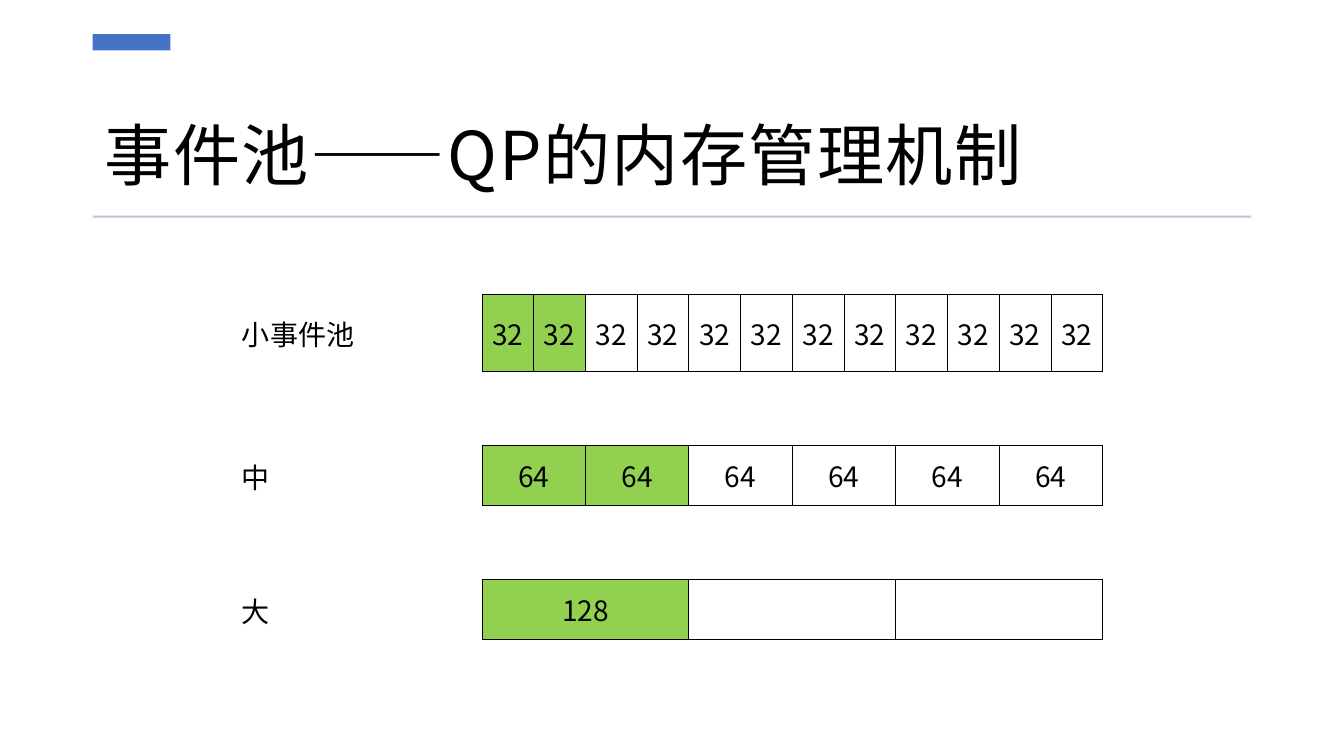
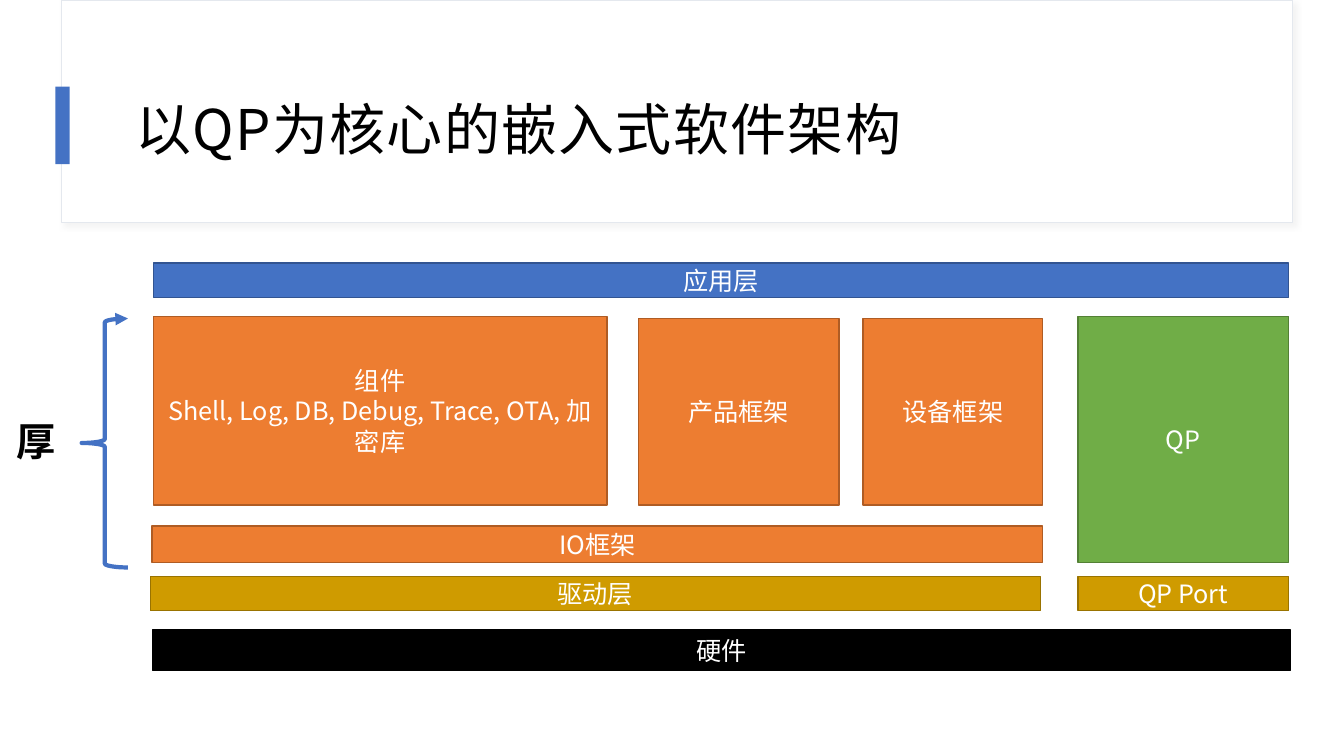
from dataclasses import dataclass
from typing import Any, Optional

from lxml import etree
from pptx import Presentation
from pptx.dml.color import RGBColor
from pptx.enum.shapes import MSO_SHAPE
from pptx.enum.text import MSO_ANCHOR, MSO_AUTO_SIZE, PP_ALIGN
from pptx.oxml.ns import qn
from pptx.util import Inches, Pt

RECTANGLE, LEFT_BRACE = MSO_SHAPE.RECTANGLE, MSO_SHAPE.LEFT_BRACE
TOP, MIDDLE, BOTTOM = MSO_ANCHOR.TOP, MSO_ANCHOR.MIDDLE, MSO_ANCHOR.BOTTOM
LEFT, CENTER = PP_ALIGN.LEFT, PP_ALIGN.CENTER
NO_AUTOFIT = MSO_AUTO_SIZE.NONE

WHITE = RGBColor(0xFF, 0xFF, 0xFF)
BLACK = RGBColor(0x00, 0x00, 0x00)
BLUE = RGBColor(0x44, 0x72, 0xC4)
BLUE_EDGE = RGBColor(0x32, 0x54, 0x91)
ORANGE = RGBColor(0xED, 0x7D, 0x31)
ORANGE_EDGE = RGBColor(0xAF, 0x5C, 0x24)
GREEN = RGBColor(0x70, 0xAD, 0x47)
GREEN_EDGE = RGBColor(0x53, 0x80, 0x35)
GOLD = RGBColor(0xCF, 0x9B, 0x00)
GOLD_EDGE = RGBColor(0x99, 0x73, 0x00)
USED_GREEN = RGBColor(0x92, 0xD0, 0x50)
RULE_GRAY = RGBColor(0xBC, 0xC6, 0xD5)
CARD_EDGE = RGBColor(0xE4, 0xE8, 0xEE)
SHADOW_GRAY = RGBColor(0xD9, 0xD9, 0xD9)

FONT = "Noto Sans CJK SC"
TITLE_ONLY = 5
PLAIN_TABLE = "{2D5ABB26-0587-4C30-8999-92F81FD0307C}"
BORDERS = ("a:lnL", "a:lnR", "a:lnT", "a:lnB")
TITLE_FRAME = {
    "margin_left": Inches(0.12),
    "margin_right": Inches(0.12),
    "margin_top": Inches(0.12),
    "margin_bottom": Inches(0.1),
    "word_wrap": True,
    "auto_size": NO_AUTOFIT,
}
SLIM_CELL = {
    "margin_left": Inches(0.01),
    "margin_right": Inches(0.01),
    "margin_top": Inches(0.01),
    "margin_bottom": 0,
    "vertical_anchor": MIDDLE,
}
WIDE_CELL = {
    "margin_left": Inches(0.18),
    "margin_right": Inches(0.18),
    "margin_top": Inches(0.09),
    "margin_bottom": Inches(0.09),
    "vertical_anchor": TOP,
}


@dataclass(frozen=True)
class Area:
    left: float
    top: float
    width: float
    height: float

    def lengths(self) -> tuple:
        return tuple(Inches(n) for n in (self.left, self.top, self.width, self.height))


@dataclass(frozen=True)
class Layer:
    text: str
    area: Area
    fill: RGBColor
    edge: RGBColor


@dataclass(frozen=True)
class Pool:
    row: int
    label: str
    blocks: tuple
    used: int
    cell_format: dict


POOLS = (
    Pool(0, "小事件池", ("32",) * 12, 2, SLIM_CELL),
    Pool(2, "中", ("64",) * 6, 2, WIDE_CELL),
    Pool(4, "大", ("128", "", ""), 1, WIDE_CELL),
)
POOL_AREA = Area(2.39, 2.92, 8.55, 3.42)
POOL_ROWS = (0.76, 0.74, 0.59, 0.74, 0.59)
LABEL_COLUMNS = (1.22, 1.17)
UNITS = 12

LAYERS = (
    Layer("QP", Area(10.69, 3.14, 2.09, 2.44), GREEN, GREEN_EDGE),
    Layer("应用层", Area(1.52, 2.61, 11.26, 0.34), BLUE, BLUE_EDGE),
    Layer("驱动层", Area(1.49, 5.72, 8.83, 0.34), GOLD, GOLD_EDGE),
    Layer("硬件", Area(1.51, 6.25, 11.29, 0.4), BLACK, BLACK),
    Layer("IO框架", Area(1.51, 5.22, 8.83, 0.36), ORANGE, ORANGE_EDGE),
    Layer("组件\nShell, Log, DB, Debug, Trace, OTA, 加密库",
          Area(1.52, 3.14, 4.5, 1.87), ORANGE, ORANGE_EDGE),
    Layer("设备框架", Area(8.56, 3.16, 1.78, 1.85), ORANGE, ORANGE_EDGE),
    Layer("产品框架", Area(6.33, 3.16, 1.99, 1.85), ORANGE, ORANGE_EDGE),
    Layer("QP Port", Area(10.69, 5.72, 2.09, 0.34), GOLD, GOLD_EDGE),
)


def apply(target: Any, values: dict) -> None:
    for name, value in values.items():
        setattr(target, name, value)


def write(frame: Any, text: str, size: int, color: RGBColor,
          align: PP_ALIGN = CENTER, bold: bool = False) -> None:
    frame.text = text
    for paragraph in frame.paragraphs:
        paragraph.alignment = align
        for run in paragraph.runs:
            apply(run.font, {"name": FONT, "size": Pt(size), "bold": bold})
            run.font.color.rgb = color
            etree.SubElement(run.font._element, qn("a:ea"), typeface=FONT)


def add_title(slide: Any, text: str, area: Area, size: int, anchor: MSO_ANCHOR) -> None:
    title = slide.shapes.title
    apply(title, dict(zip(("left", "top", "width", "height"), area.lengths())))
    frame = title.text_frame
    apply(frame, TITLE_FRAME)
    frame.vertical_anchor = anchor
    write(frame, text, size, BLACK, LEFT)
    paragraph = frame.paragraphs[0]
    paragraph.line_spacing = 1.05
    paragraph.runs[0].font._element.set("spc", "100")


def add_block(slide: Any, area: Area, fill: RGBColor,
              edge: Optional[RGBColor] = None, weight: float = 1) -> Any:
    block = slide.shapes.add_shape(RECTANGLE, *area.lengths())
    block.shadow.inherit = False
    block.fill.solid()
    block.fill.fore_color.rgb = fill
    if edge is None:
        block.line.fill.background()
    else:
        block.line.color.rgb = edge
        block.line.width = Pt(weight)
    return block


def add_header_card(slide: Any) -> None:
    card = add_block(slide, Area(0.61, 0, 12.21, 2.21), WHITE, CARD_EDGE, 0.75)
    effects = card._element.spPr.find(qn("a:effectLst"))
    shadow = etree.SubElement(effects, qn("a:outerShdw"), blurRad=str(Pt(4)),
                              dist=str(Pt(3)), dir="2700000", rotWithShape="0")
    tint = etree.SubElement(shadow, qn("a:srgbClr"), val=str(SHADOW_GRAY))
    etree.SubElement(tint, qn("a:alpha"), val="30000")
    tree = slide.shapes._spTree
    tree.remove(card._element)
    tree.insert(2, card._element)


def outline_cell(cell: Any) -> None:
    properties = cell._tc.get_or_add_tcPr()
    for border in BORDERS:
        line = etree.SubElement(properties, qn(border), w=str(Pt(0.5)))
        fill = etree.SubElement(line, qn("a:solidFill"))
        etree.SubElement(fill, qn("a:srgbClr"), val=str(BLACK))


def fill_pool(table: Any, pool: Pool) -> None:
    label = table.cell(pool.row, 0)
    apply(label, SLIM_CELL)
    write(label.text_frame, pool.label, 20, BLACK, LEFT)
    span = UNITS // len(pool.blocks)
    for index, size in enumerate(pool.blocks):
        first = len(LABEL_COLUMNS) + index * span
        cells = [table.cell(pool.row, first + step) for step in range(span)]
        for cell in cells:
            outline_cell(cell)
            if index < pool.used:
                cell.fill.solid()
                cell.fill.fore_color.rgb = USED_GREEN
        if span > 1:
            cells[0].merge(cells[-1])
        apply(cells[0], pool.cell_format)
        write(cells[0].text_frame, size, 20, BLACK)


def add_pool_table(slide: Any) -> None:
    unit = (POOL_AREA.width - sum(LABEL_COLUMNS)) / UNITS
    widths = LABEL_COLUMNS + (unit,) * UNITS
    table = slide.shapes.add_table(len(POOL_ROWS), len(widths), *POOL_AREA.lengths()).table
    apply(table, {"first_row": False, "horz_banding": False})
    table._tbl.tblPr.find(qn("a:tableStyleId")).text = PLAIN_TABLE
    for column, width in zip(table.columns, widths):
        column.width = Inches(width)
    for row, height in zip(table.rows, POOL_ROWS):
        row.height = Inches(height)
    for cell in table.iter_cells():
        cell.fill.background()
    for pool in POOLS:
        fill_pool(table, pool)


def add_layer(slide: Any, layer: Layer) -> None:
    block = add_block(slide, layer.area, layer.fill, layer.edge)
    apply(block.text_frame, {"word_wrap": True, "vertical_anchor": MIDDLE})
    write(block.text_frame, layer.text, 18, WHITE)


def add_thickness_mark(slide: Any) -> None:
    brace = slide.shapes.add_shape(LEFT_BRACE, *Area(0.81, 3.16, 0.46, 2.47).lengths())
    brace.shadow.inherit = False
    brace.fill.background()
    brace.line.color.rgb = BLUE
    brace.line.width = Pt(3)
    etree.SubElement(brace.line._get_or_add_ln(), qn("a:tailEnd"), type="triangle")
    thick = slide.shapes.add_textbox(*Area(0.07, 4.09, 0.59, 0.57).lengths())
    thick.text_frame.word_wrap = False
    write(thick.text_frame, "厚", 28, BLACK, LEFT, bold=True)


def build_event_pools(slide: Any) -> None:
    add_title(slide, "事件池——QP的内存管理机制", Area(0.92, 0.75, 11.49, 1.27), 48, BOTTOM)
    add_block(slide, Area(0.92, 0.34, 0.77, 0.16), BLUE)
    add_block(slide, Area(0.92, 2.14, 11.49, 0.02), RULE_GRAY)
    add_pool_table(slide)


def build_architecture(slide: Any) -> None:
    add_header_card(slide)
    add_block(slide, Area(0.55, 0.86, 0.14, 0.77), BLUE)
    add_title(slide, "以QP为核心的嵌入式软件架构", Area(1.22, 0.6, 11.12, 1.29), 40, MIDDLE)
    for layer in LAYERS:
        add_layer(slide, layer)
    add_thickness_mark(slide)


def main() -> None:
    deck = Presentation()
    deck.slide_width, deck.slide_height = Inches(13.33), Inches(7.5)
    for build in (build_event_pools, build_architecture):
        build(deck.slides.add_slide(deck.slide_layouts[TITLE_ONLY]))
    deck.save("out.pptx")


if __name__ == "__main__":
    main()
